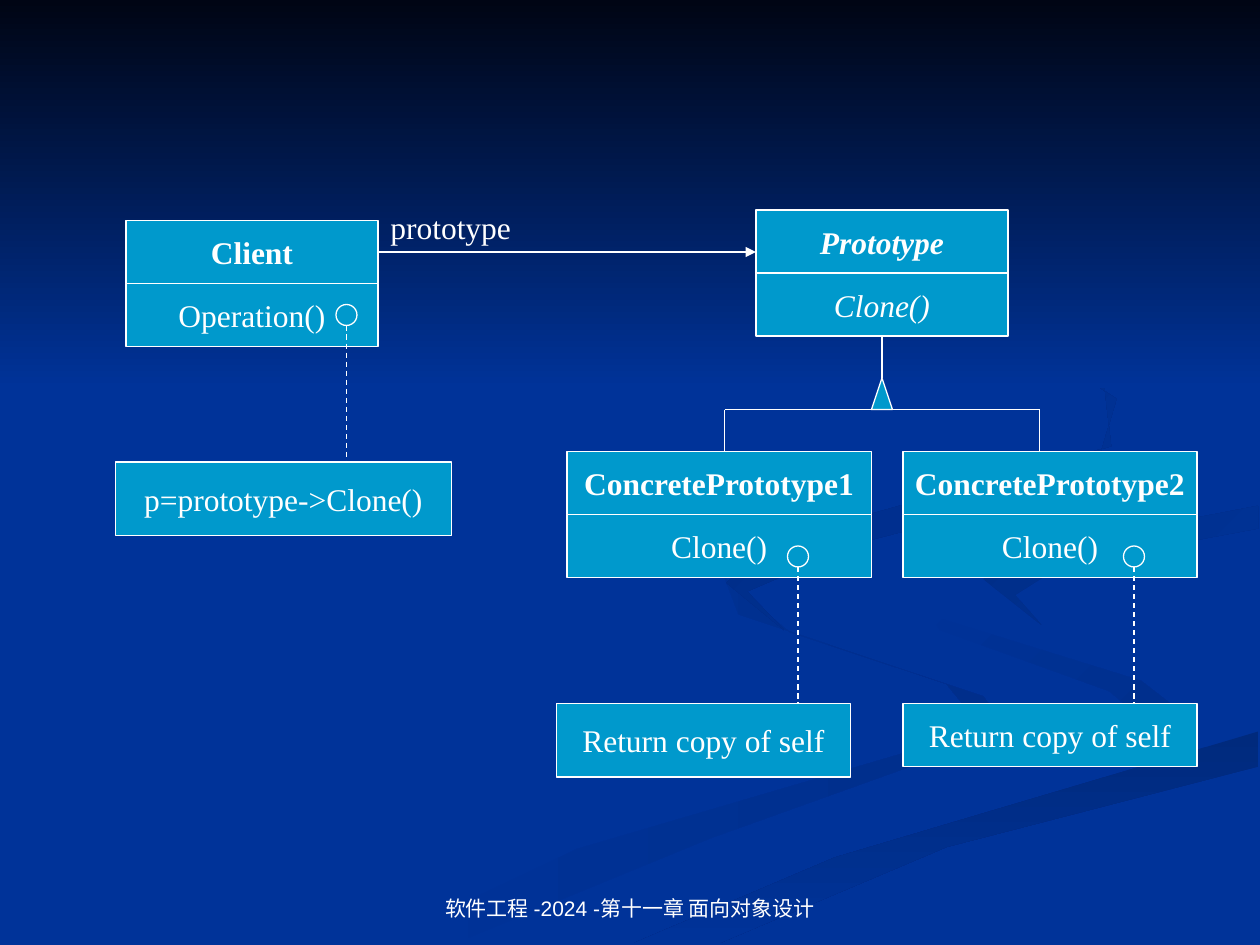
from lxml import etree
from pptx import Presentation
from pptx.dml.color import RGBColor
from pptx.enum.dml import MSO_LINE
from pptx.enum.shapes import MSO_CONNECTOR, MSO_SHAPE
from pptx.enum.text import MSO_ANCHOR, PP_ALIGN
from pptx.oxml.ns import qn
from pptx.util import Pt

RECT, OVAL, TRIANGLE = MSO_SHAPE.RECTANGLE, MSO_SHAPE.OVAL, MSO_SHAPE.ISOSCELES_TRIANGLE
STRAIGHT, DASH = MSO_CONNECTOR.STRAIGHT, MSO_LINE.DASH
MIDDLE, BOTTOM = MSO_ANCHOR.MIDDLE, MSO_ANCHOR.BOTTOM
LEFT, CENTER = PP_ALIGN.LEFT, PP_ALIGN.CENTER

WIDTH, HEIGHT = 720, 540
ROW, RING = 36, 12
SERIF, SANS = "Times New Roman", "Arial"
COLORS = {
    "base": "003399", "night": "000514", "box": "0099CC", "white": "FFFFFF",
    "shade1": "002E8B", "shade2": "002A7D", "shade3": "002D86", "shade4": "002B82",
}

SWIRLS = [
    ("base", "shade1", 0, [
        (562, 398), (451, 361), (414, 330), (422, 351), (541, 391), (562, 417),
        (330, 485), (216, 539), (260, 539), (406, 479), (576, 418)]),
    ("base", "shade1", 45, [
        (679, 410), (652, 389), (536, 353), (521, 334), (537, 360), (634, 395),
        (661, 418), (644, 436)]),
    ("shade2", "base", 90, [
        (362, 539), (411, 539), (541, 484), (719, 438), (719, 418), (477, 490)]),
    ("shade3", "base", 45, [
        (562, 331), (595, 357), (580, 340), (607, 323), (719, 302), (719, 289),
        (583, 315)]),
    ("shade4", "base", 45, [
        (492, 310), (624, 276), (638, 228), (549, 168), (631, 220), (635, 255),
        (443, 309), (415, 333), (448, 360), (427, 338)]),
    ("night", "base", 90, [(0, 0), (0, 222), (WIDTH, 222), (WIDTH, 0)]),
]


def rgb(name):
    """Return the named colour."""
    return RGBColor.from_string(COLORS[name])


def add_text(sp, text, size=18, font=SERIF, align=CENTER, anchor=MIDDLE,
             wrap=False, bold=False, italic=False):
    """Write one white run into a shape."""
    tf = sp.text_frame
    tf.word_wrap = wrap
    tf.vertical_anchor = anchor
    p = tf.paragraphs[0]
    p.alignment = align
    r = p.add_run()
    r.text = text
    r.font.size = Pt(size)
    r.font.name = font
    r.font.bold = bold
    r.font.italic = italic
    r.font.color.rgb = rgb("white")


def add_label(s, box, text, **style):
    """Place a text box."""
    add_text(s.shapes.add_textbox(*map(Pt, box)), text, **style)


def add_block(s, kind, box):
    """Place a filled and outlined preset shape."""
    sp = s.shapes.add_shape(kind, *map(Pt, box))
    sp.shadow.inherit = False
    sp.fill.solid()
    sp.fill.fore_color.rgb = rgb("box")
    sp.line.color.rgb = rgb("white")
    sp.line.width = Pt(0.75)
    return sp


def add_line(s, x1, y1, x2, y2, dashed=False, arrow=False):
    """Draw a thin white line."""
    line = s.shapes.add_connector(STRAIGHT, Pt(x1), Pt(y1), Pt(x2), Pt(y2))
    line.line.color.rgb = rgb("white")
    line.line.width = Pt(0.75)
    if dashed:
        line.line.dash_style = DASH
    if arrow:
        etree.SubElement(line.line._get_or_add_ln(), qn("a:tailEnd"), type="triangle")
    etree.SubElement(line._element.spPr, qn("a:effectLst"))


def add_backdrop(s):
    """Paint the background, its swirls and the dark top band."""
    s.background.fill.solid()
    s.background.fill.fore_color.rgb = rgb("base")
    for start, end, angle, points in SWIRLS:
        builder = s.shapes.build_freeform(*points[0], scale=Pt(1))
        builder.add_line_segments(points[1:], close=True)
        sp = builder.convert_to_shape()
        sp.shadow.inherit = False
        sp.line.fill.background()
        sp.fill.gradient()
        sp.fill.gradient_angle = -angle % 360
        for position, (stop, name) in enumerate(zip(sp.fill.gradient_stops, (start, end))):
            stop.color.rgb = rgb(name)
            stop.position = position


def add_class(s, x, y, width, name, operation, abstract=False):
    """Stack a class name over its operation."""
    add_text(add_block(s, RECT, (x, y, width, ROW)), name, bold=True, italic=abstract)
    add_text(add_block(s, RECT, (x, y + ROW, width, ROW)), operation, italic=abstract)


def add_note(s, box, text, ring_x, ring_y):
    """Place a note and tie it to a ring with a dashed line."""
    add_text(add_block(s, RECT, box), text)
    add_block(s, OVAL, (ring_x, ring_y, RING, RING))
    middle = ring_x + RING / 2
    add_line(s, middle, ring_y + RING, middle, box[1], dashed=True)


def add_inheritance(s, x, top, bottom, children):
    """Join a parent class to its children through a triangle."""
    tip, bar = top + 24, top + 42
    add_line(s, x, top, x, tip)
    add_block(s, TRIANGLE, (x - 6, tip, 12, bar - tip))
    add_line(s, children[0], bar, children[-1], bar)
    for child in children:
        add_line(s, child, bar, child, bottom)


def main():
    """Build the prototype pattern slide."""
    prs = Presentation()
    prs.slide_width, prs.slide_height = Pt(WIDTH), Pt(HEIGHT)
    s = prs.slides.add_slide(prs.slide_layouts[6])
    add_backdrop(s)
    add_label(s, (246, 492, 228, 37.5), "软件工程 -2024 -第十一章 面向对象设计",
              size=12, font=SANS, anchor=BOTTOM, wrap=True)
    add_class(s, 72, 126, 144, "Client", "Operation()")
    add_note(s, (66, 264, 192, 42), "p=prototype->Clone()", 192, 174)
    add_class(s, 432, 120, 144, "Prototype", "Clone()", abstract=True)
    add_line(s, 216, 144, 432, 144, arrow=True)
    add_label(s, (216, 115.2, 83.5, 28.8), "prototype", align=LEFT)
    add_class(s, 324, 258, 174, "ConcretePrototype1", "Clone()")
    add_class(s, 516, 258, 168, "ConcretePrototype2", "Clone()")
    add_note(s, (318, 402, 168, 42), "Return copy of self", 450, 312)
    add_note(s, (516, 402, 168, 36), "Return copy of self", 642, 312)
    add_inheritance(s, 504, 192, 258, (414, 594))
    prs.save("out.pptx")


if __name__ == "__main__":
    main()
